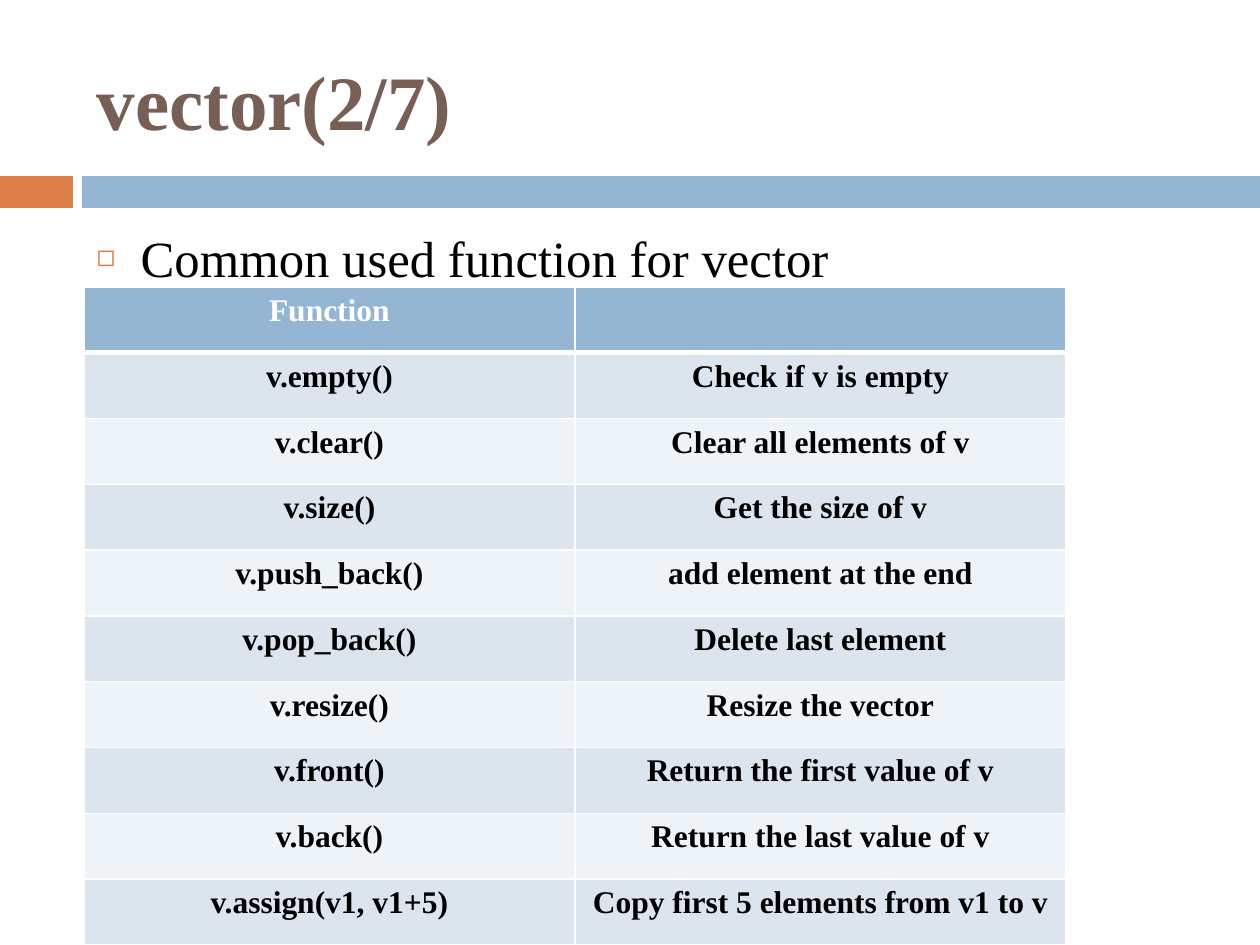
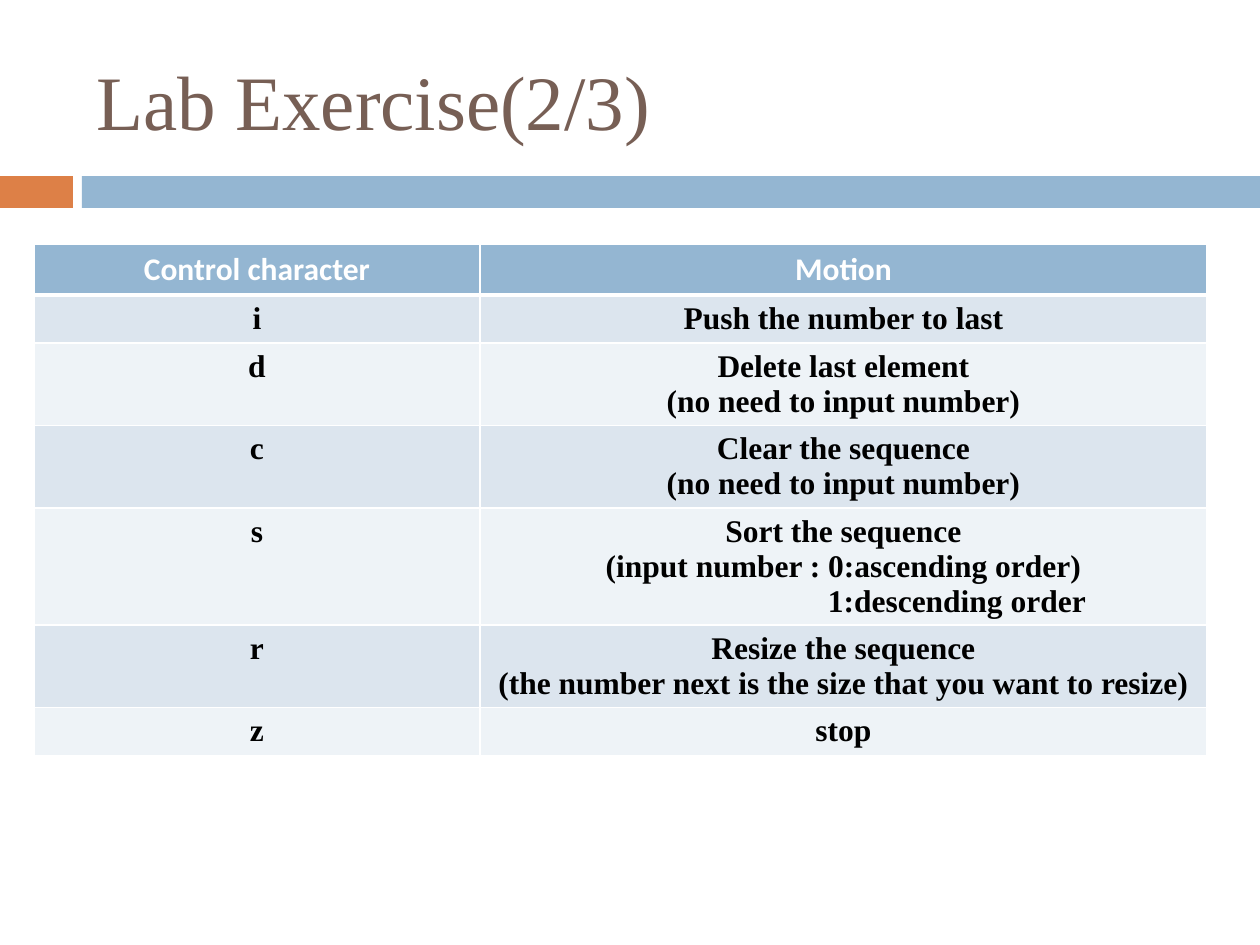
"""Build two slides on vector functions and the control characters of a lab exercise."""
from lxml.etree import SubElement
from pptx import Presentation
from pptx.dml.color import RGBColor
from pptx.enum.shapes import MSO_SHAPE as Shape
from pptx.enum.text import MSO_ANCHOR as Anchor, PP_ALIGN as Align
from pptx.oxml.ns import qn
from pptx.util import Pt

EMU_PER_PX = 914400 / 126
ORANGE = RGBColor(0xDD, 0x80, 0x47)
BLUE = RGBColor(0x94, 0xB6, 0xD2)
BROWN = RGBColor(0x77, 0x5F, 0x55)
BLACK = RGBColor(0, 0, 0)
WHITE = RGBColor(0xFF, 0xFF, 0xFF)
STRIPES = (RGBColor(0xDC, 0xE5, 0xEE), RGBColor(0xEE, 0xF3, 0xF7))
SERIF = "Times New Roman"
SANS = "Calibri"
TITLE_ONLY, TITLE_AND_BODY = 5, 1

VECTOR_FUNCTIONS = [
    ("Function", ""),
    ("v.empty()", "Check if v is empty"),
    ("v.clear()", "Clear all elements of v"),
    ("v.size()", "Get the size of v"),
    ("v.push_back()", "add element at the end"),
    ("v.pop_back()", "Delete last element"),
    ("v.resize()", "Resize the vector"),
    ("v.front()", "Return the first value of v"),
    ("v.back()", "Return the last value of v"),
    ("v.assign(v1, v1+5)", "Copy first 5 elements from v1 to v"),
]
CONTROL_CHARACTERS = [
    ("Control character", "Motion"),
    ("i", "Push the number to last"),
    ("d", "Delete last element\n(no need to input number)"),
    ("c", "Clear the sequence\n(no need to input number)"),
    ("s", "Sort the sequence\n(input number : 0:ascending order)\n1:descending order"),
    ("r", "Resize the sequence\n(the number next is the size that you want to resize)"),
    ("z", "stop"),
]


def px(length):
    return round(length * EMU_PER_PX)


class Deck:
    """Holds the shared style and the current slide."""

    def __init__(self):
        self.presentation = Presentation()
        self.presentation.slide_width = px(1260)
        self.presentation.slide_height = px(945)
        self.slide = None

    def start_slide(self, layout, heading, bold=False):
        layouts = self.presentation.slide_layouts
        self.slide = self.presentation.slides.add_slide(layouts[layout])
        self.band(0, 73, ORANGE)
        self.band(82, 1178, BLUE)
        title = self.slide.shapes.title
        self.place(title, 84, 32, 1124, 136)
        title.text_frame.vertical_anchor = Anchor.MIDDLE
        line = title.text_frame.paragraphs[0]
        line.alignment = Align.LEFT
        self.run(line, heading, 44, BROWN, bold)

    def place(self, shape, left, top, width, height):
        shape.left, shape.top = px(left), px(top)
        shape.width, shape.height = px(width), px(height)

    def run(self, paragraph, wording, size, color, bold=False, face=SERIF):
        run = paragraph.add_run()
        run.text = wording
        run.font.size = Pt(size)
        run.font.name = face
        run.font.bold = bold
        run.font.color.rgb = color

    def band(self, left, width, color):
        band = self.slide.shapes.add_shape(
            Shape.RECTANGLE, px(left), px(176), px(width), px(32))
        band.shadow.inherit = False
        band.fill.solid()
        band.fill.fore_color.rgb = color
        band.line.fill.background()

    def bullet(self, wording):
        body = self.slide.placeholders[1]
        self.place(body, 84, 220, 1124, 620)
        item = body.text_frame.paragraphs[0]
        item.space_before = Pt(7)
        self.run(item, wording, 29, BLACK)
        properties = item._p.get_or_add_pPr()
        properties.set("marL", str(px(44)))
        properties.set("indent", str(px(-44)))
        color = SubElement(properties, qn("a:buClr"))
        SubElement(color, qn("a:srgbClr"), val=str(ORANGE))
        SubElement(properties, qn("a:buSzPct"), val="60000")
        SubElement(properties, qn("a:buChar"), char="◻")

    def borders(self, cell, top, bottom):
        properties = cell._tc.get_or_add_tcPr()
        for side, width in zip("LRTB", (1, 1, top, bottom)):
            edge = SubElement(properties, qn(f"a:ln{side}"), w=str(Pt(width)))
            fill = SubElement(edge, qn("a:solidFill"))
            SubElement(fill, qn("a:srgbClr"), val=str(WHITE))

    def cell(self, cell, wording, row, header_face):
        header = row == 0
        self.borders(cell, 3 if row == 1 else 1, 3 if header else 1)
        cell.fill.solid()
        cell.fill.fore_color.rgb = BLUE if header else STRIPES[(row - 1) % 2]
        frame = cell.text_frame
        for number, line in enumerate(wording.split("\n") if wording else []):
            paragraph = frame.add_paragraph() if number else frame.paragraphs[0]
            paragraph.alignment = Align.CENTER
            self.run(paragraph, line, 18, WHITE if header else BLACK, True,
                     header_face if header else SERIF)

    def table(self, entries, left, top, widths, height, header_face=SERIF):
        table = self.slide.shapes.add_table(
            len(entries), len(widths), px(left), px(top),
            px(sum(widths)), px(height)).table
        for column, width in zip(table.columns, widths):
            column.width = px(width)
        for row, entry in enumerate(entries):
            for column, wording in enumerate(entry):
                self.cell(table.cell(row, column), wording, row, header_face)
        return table


def main():
    deck = Deck()

    deck.start_slide(TITLE_AND_BODY, "vector(2/7)", bold=True)
    deck.bullet("Common used function for vector")
    deck.table(VECTOR_FUNCTIONS, 84, 287, (491, 491), 658)

    deck.start_slide(TITLE_ONLY, "Lab Exercise(2/3)")
    motions = deck.table(CONTROL_CHARACTERS, 34, 244, (446, 727), 336, SANS)
    descending = motions.cell(4, 1).text_frame.paragraphs[2]
    descending._p.get_or_add_pPr().set("marL", str(px(227)))

    deck.presentation.save("out.pptx")


if __name__ == "__main__":
    main()
